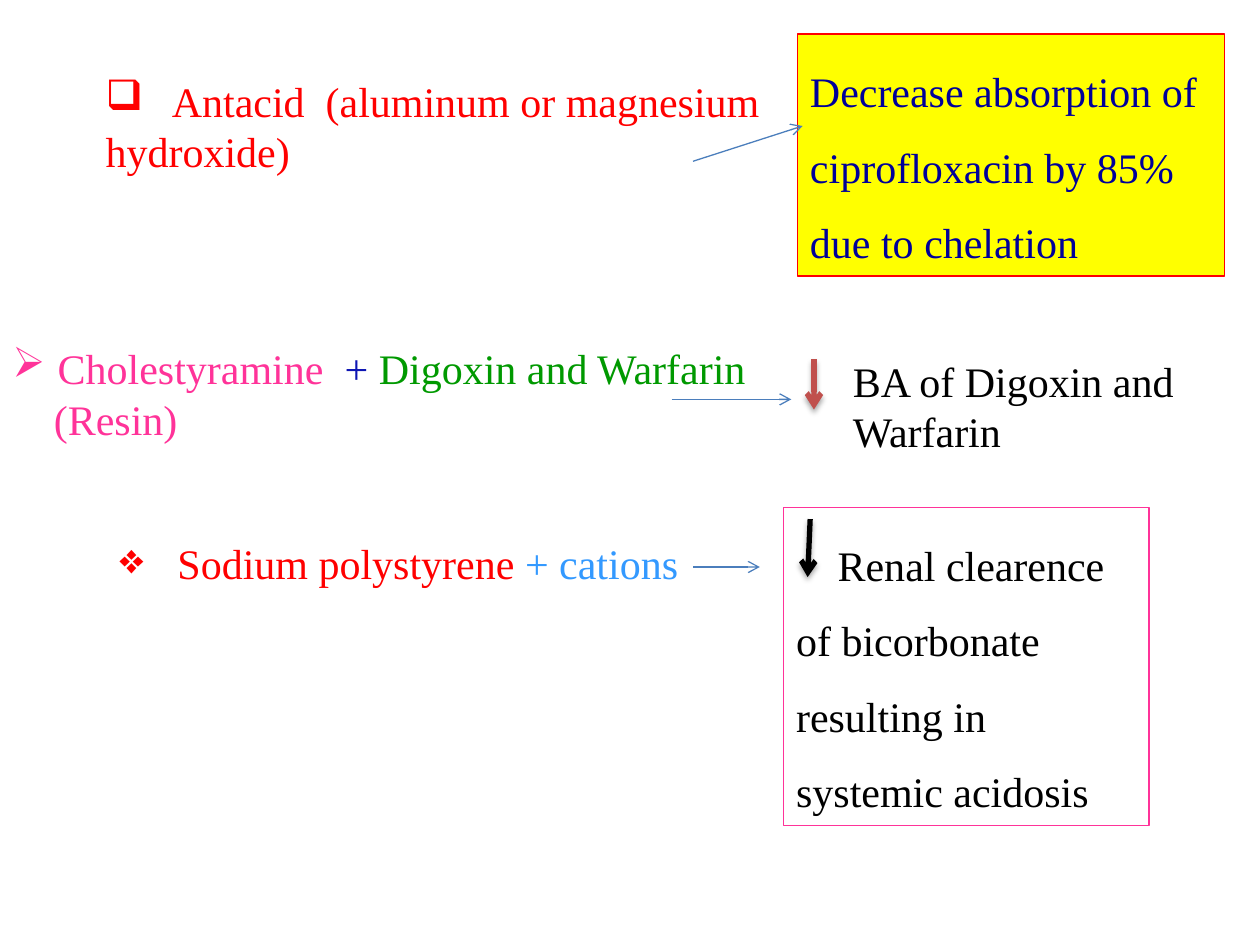
from lxml import etree
from pptx import Presentation
from pptx.dml.color import RGBColor
from pptx.enum.shapes import MSO_CONNECTOR, MSO_SHAPE
from pptx.enum.text import MSO_ANCHOR, PP_ALIGN
from pptx.oxml.ns import qn
from pptx.util import Inches, Pt

STRAIGHT = MSO_CONNECTOR.STRAIGHT
RECT = MSO_SHAPE.RECTANGLE
TOP = MSO_ANCHOR.TOP
LEFT = PP_ALIGN.LEFT

COLS, ROWS = 100, 75
UNIT = 0.1
BLUE, RED, PINK, BLACK = "4B7EBC", "FF0000", "FF3399", "000000"
NAVY, GREEN, SKY, YELLOW = "000099", "009900", "3399FF", "FFFF00"
INK, BRICK = "0D15B3", "C0504D"
FONT = {"name": "Times New Roman", "size": Pt(24)}
FRAME = {"word_wrap": True, "vertical_anchor": TOP}


def rgb(value):
    return RGBColor.from_string(value)


def grid(n):
    return Inches(n * UNIT)


def set_attrs(obj, values):
    for name, value in values.items():
        setattr(obj, name, value)


def sub(parent, tag, **attrs):
    return etree.SubElement(parent, qn(tag), attrs)


def place(box, left, top, width, height):
    return [grid(n) for n in (box[0] + left, box[1] + top, width, height)]


def fill_text(sp, paragraphs, spacing=1.0):
    tf = sp.text_frame
    set_attrs(tf, FRAME)
    for i, (runs, fmt) in enumerate(paragraphs):
        p = tf.add_paragraph() if i else tf.paragraphs[0]
        set_attrs(p, {"alignment": LEFT, "line_spacing": spacing})
        pPr = p._p.get_or_add_pPr()
        for name in ("marL", "indent"):
            pPr.set(name, str(grid(fmt.get(name, 0))))
        if "bullet" in fmt:
            sub(pPr, "a:buChar", char=fmt["bullet"])
        if "tab" in fmt:
            tabs = sub(pPr, "a:tabLst")
            sub(tabs, "a:tab", pos=str(grid(fmt["tab"])), algn="l")
        for text, color in runs:
            r = p.add_run()
            r.text = text
            set_attrs(r.font, FONT)
            r.font.color.rgb = rgb(color)


def add_text(slide, area, paragraphs):
    fill_text(slide.shapes.add_textbox(*area), paragraphs)


def add_panel(slide, area, line, paragraphs, fill=None):
    sp = slide.shapes.add_shape(RECT, *area)
    sp.shadow.inherit = False
    if fill:
        sp.fill.solid()
        sp.fill.fore_color.rgb = rgb(fill)
    else:
        sp.fill.background()
    sp.line.color.rgb = rgb(line)
    sp.line.width = Pt(0.75)
    fill_text(sp, paragraphs, spacing=1.5)


def add_arrow(slide, box, start, end, color=BLUE, width=0.75, shadow=False):
    x, y = box[:2]
    ends = [grid(n) for n in (x + start[0], y + start[1], x + end[0], y + end[1])]
    cxn = slide.shapes.add_connector(STRAIGHT, *ends)
    cxn.line.color.rgb = rgb(color)
    cxn.line.width = Pt(width)
    sub(cxn.line._get_or_add_ln(), "a:tailEnd", type="arrow")
    effects = sub(cxn._element.spPr, "a:effectLst")
    if shadow:
        outer = sub(effects, "a:outerShdw", blurRad=str(Pt(3.1)), dist=str(Pt(1.8)),
                    dir="5400000", rotWithShape="0")
        sub(sub(outer, "a:srgbClr", val=BLACK), "a:alpha", val="35000")


def antacid_row(slide, box):
    add_text(slide, place(box, 7.4, 5.5, 59.3, 9.1), [
        ([("\tAntacid  (aluminum or magnesium hydroxide)", RED)],
         {"bullet": "❑", "tab": 5.25})])
    lines = ("Decrease absorption of", "ciprofloxacin by 85%", "due to chelation")
    add_panel(slide, place(box, 63.3, 2.7, 33.9, 19.2), RED,
              [([(text, NAVY)], {}) for text in lines], YELLOW)
    add_arrow(slide, box, (55, 12.8), (63.7, 10))


def resin_row(slide, box):
    add_text(slide, place(box, 0, 1.7, 60.6, 13.1), [
        ([("Cholestyramine  ", PINK), ("+ ", INK), ("Digoxin and Warfarin", GREEN)],
         {"bullet": "➢", "marL": 3.6, "indent": -3.6}),
        ([("(Resin)", PINK)], {"marL": 3.3})])
    add_arrow(slide, box, (64.6, 3.5), (64.6, 7.5), BRICK, 3, True)
    add_text(slide, place(box, 66.7, 2.7, 28.3, 9.1),
             [([("BA of Digoxin and Warfarin", BLACK)], {})])
    add_arrow(slide, box, (53.3, 6.7), (62.8, 6.7))


def sodium_row(slide, box):
    add_text(slide, place(box, 8.5, 2.2, 46.8, 5), [
        ([("Sodium polystyrene ", RED), ("+ cations", SKY)],
         {"bullet": "❖", "marL": 4.6, "indent": -4.6})])
    add_panel(slide, place(box, 62.2, 0.3, 29, 25.2), PINK, [
        ([("Renal clearence of bicorbonate resulting in systemic acidosis", BLACK)],
         {"indent": 3.3})])
    add_arrow(slide, box, (64.3, 1.2), (64.1, 5.8), BLACK, 3, True)
    add_arrow(slide, box, (55, 5), (60.3, 5))


def main():
    prs = Presentation()
    prs.slide_width, prs.slide_height = grid(COLS), grid(ROWS)
    slide = prs.slides.add_slide(prs.slide_layouts[6])
    top = 0
    for draw, rows in ((antacid_row, 25), (resin_row, 15), (sodium_row, 35)):
        draw(slide, (0, top, COLS, rows))
        top += rows
    prs.save("out.pptx")


if __name__ == "__main__":
    main()
